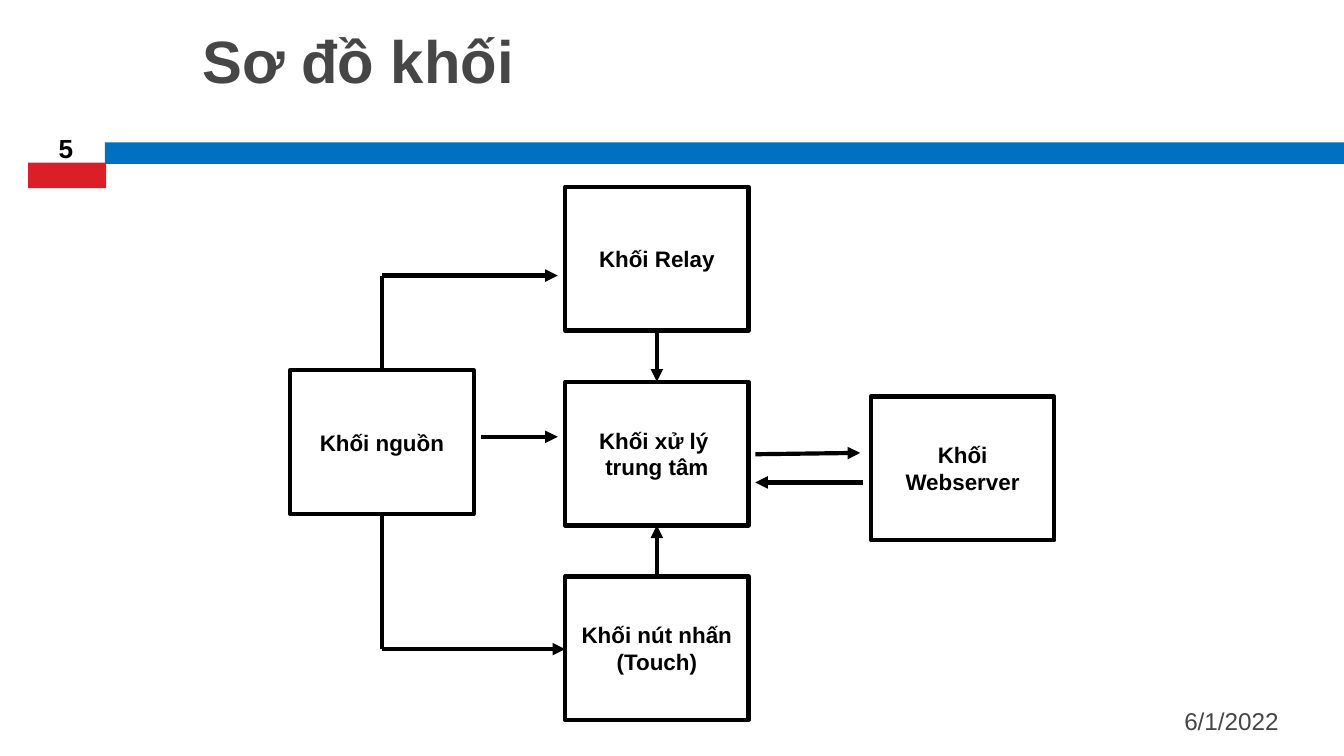
from lxml import etree
from pptx import Presentation
from pptx import util as u
from pptx.dml import color
from pptx.enum import shapes, text
from pptx.oxml import ns

COLUMNS, ROWS = 100, 56.25
BLOCK_WIDTH, BLOCK_HEIGHT = 13.65, 10.7
BLACK, WHITE, GREY = "000000", "FFFFFF", "464646"
LEFT, CENTER, RIGHT = text.PP_ALIGN.LEFT, text.PP_ALIGN.CENTER, text.PP_ALIGN.RIGHT
TOP, MIDDLE, BOTTOM = text.MSO_ANCHOR.TOP, text.MSO_ANCHOR.MIDDLE, text.MSO_ANCHOR.BOTTOM

presentation = Presentation()
presentation.slide_width = u.Inches(10)
presentation.slide_height = presentation.slide_width * 9 // 16
slide = presentation.slides.add_slide(presentation.slide_layouts[6])
column = presentation.slide_width / COLUMNS
row = presentation.slide_height / ROWS


def rgb(value):
    return color.RGBColor.from_string(value)


def write(shape, words, size, ink, bold, align, anchor):
    frame = shape.text_frame
    frame.text = words
    frame.word_wrap = True
    frame.vertical_anchor = anchor
    for paragraph in frame.paragraphs:
        paragraph.alignment = align
        for run in paragraph.runs:
            run.font.name = "Arial"
            run.font.size = u.Pt(size)
            run.font.bold = bold
            run.font.color.rgb = rgb(ink)


bars = [(2.1, 12.1, 5.8, 1.9, "DA1F28"), (7.8, 10.6, 92.3, 1.6, "0070C0")]
for x, y, width, height, fill in bars:
    bar = slide.shapes.add_shape(
        shapes.MSO_SHAPE.RECTANGLE,
        int(x * column), int(y * row), int(width * column), int(height * row))
    bar.shadow.inherit = False
    bar.fill.solid()
    bar.fill.fore_color.rgb = rgb(fill)
    bar.line.fill.background()

labels = [
    (14.1, 1.3, 84.4, 8.9, "Sơ đồ khối", 32, GREY, True, LEFT, TOP),
    (66.9, 52.1, 29.2, 3, "6/1/2022", 13, GREY, False, RIGHT, MIDDLE),
    (2, 9.2, 5.8, 3.5, "5", 14, BLACK, True, CENTER, BOTTOM),
]
for x, y, width, height, *style in labels:
    label = slide.shapes.add_textbox(
        int(x * column), int(y * row), int(width * column), int(height * row))
    write(label, *style)

source_x, core_x, server_x = 21.6, 42.05, 64.8
source_y, core_y, server_y = 27.55, 28.4, 29.5
pitch = 14.5
relay_y, touch_y = core_y - pitch, core_y + pitch
blocks = [
    (source_x, source_y, "Khối nguồn"),
    (core_x, core_y, "Khối xử lý \ntrung tâm"),
    (core_x, relay_y, "Khối Relay"),
    (core_x, touch_y, "Khối nút nhấn\n(Touch)"),
    (server_x, server_y, "Khối Webserver"),
]
for x, y, words in blocks:
    block = slide.shapes.add_shape(
        shapes.MSO_SHAPE.RECTANGLE,
        int(x * column), int(y * row), int(BLOCK_WIDTH * column), int(BLOCK_HEIGHT * row))
    block.shadow.inherit = False
    block.fill.solid()
    block.fill.fore_color.rgb = rgb(WHITE)
    block.line.color.rgb = rgb(BLACK)
    block.line.width = u.Pt(2.25)
    write(block, words, 12, BLACK, True, CENTER, MIDDLE)

source_middle = source_x + BLOCK_WIDTH / 2
core_middle = core_x + BLOCK_WIDTH / 2
upper_y, lower_y = 20.5, 48.3
links = [
    (35.8, 32.5, 41.5, 32.5, True),
    (source_middle, lower_y, core_x, lower_y, True),
    (source_middle, lower_y, source_middle, source_y + BLOCK_HEIGHT, False),
    (source_middle, source_y, source_middle, upper_y, False),
    (source_middle, upper_y, 41.5, upper_y, True),
    (core_middle, touch_y, core_middle, core_y + BLOCK_HEIGHT, True),
    (core_middle, relay_y + BLOCK_HEIGHT, core_middle, core_y, True),
    (56.2, 33.8, 64, 33.7, True),
    (64.2, 35.9, 56.2, 35.9, True),
]
for x1, y1, x2, y2, arrow in links:
    link = slide.shapes.add_connector(
        shapes.MSO_CONNECTOR.STRAIGHT,
        int(x1 * column), int(y1 * row), int(x2 * column), int(y2 * row))
    link.line.color.rgb = rgb(BLACK)
    link.line.width = u.Pt(2.25)
    properties = link._element.spPr
    if arrow:
        etree.SubElement(properties.get_or_add_ln(), ns.qn("a:tailEnd"), type="triangle")
    etree.SubElement(properties, ns.qn("a:effectLst"))

presentation.save("out.pptx")
